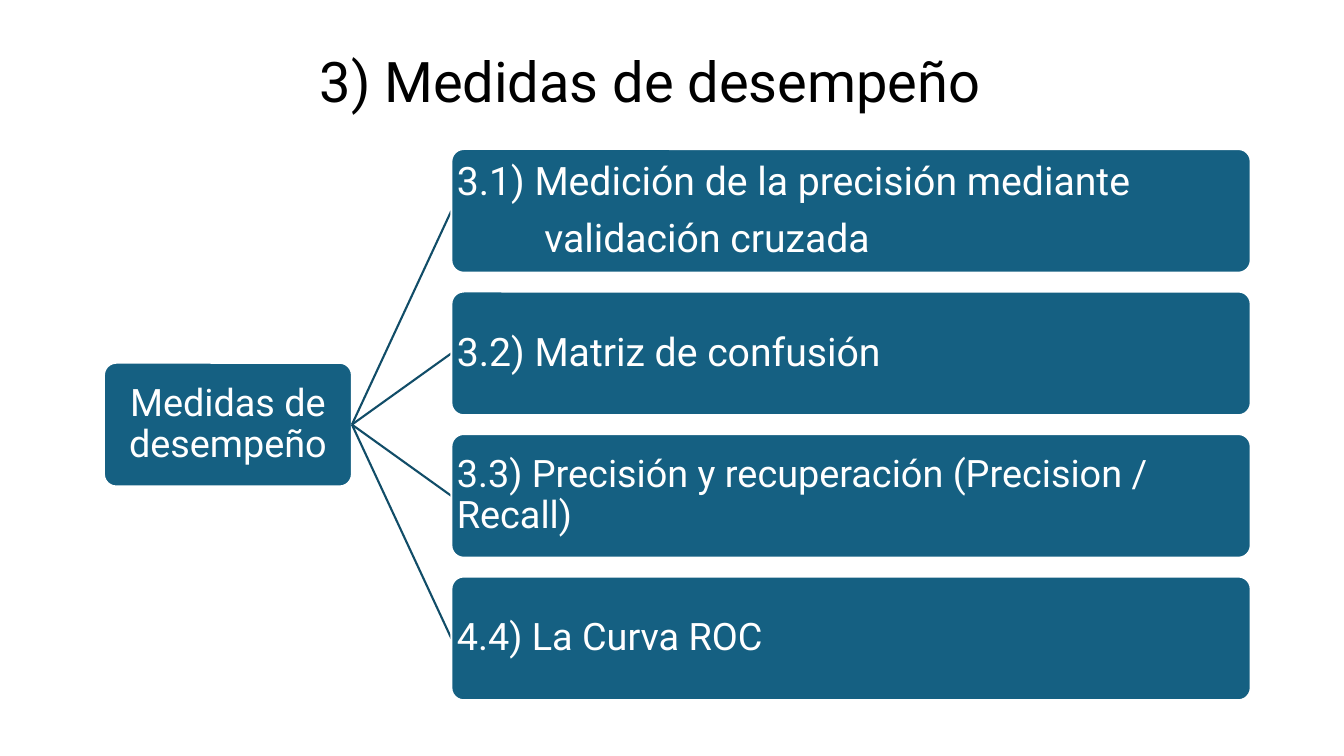
"""Build a slide with a horizontal tree of performance measures."""
from pptx import Presentation
from pptx.dml.color import RGBColor
from pptx.enum.shapes import MSO_CONNECTOR, MSO_SHAPE
from pptx.enum.text import MSO_ANCHOR, PP_ALIGN
from pptx.oxml.ns import qn
from pptx.util import Pt
from lxml.etree import SubElement

TITLE = "3) Medidas de desempeño"
ROOT = ("Medidas de desempeño",)
TOPICS = [
    (("3.1) Medición de la precisión mediante", "validación cruzada"), 28),
    (("3.2) Matriz de confusión",), 28),
    (("3.3) Precisión y recuperación (Precision / Recall)",), 27),
    (("4.4) La Curva ROC",), 27),
]
THEME = {
    "font": "Roboto", "title": 40, "root": 27,
    "ink": RGBColor.from_string("000000"),
    "fill": RGBColor.from_string("156082"),
    "line": RGBColor.from_string("114D68"),
    "white": RGBColor.from_string("FFFFFF"),
}
TOP, STEP, HIGH = 106.4, 101.8, 88.4
ROOT_X, ROOT_W = 74.2, 177.2
TOPIC_X, TOPIC_W = 322.4, 571
INDENT, GAP, INSET = 62.5, 10.5, 1.4


def write(frame, lines, size, color, align):
    """Fill a text frame, indenting the lines after the first."""
    frame.word_wrap = True
    frame.vertical_anchor = MSO_ANCHOR.MIDDLE
    frame.margin_left = frame.margin_right = Pt(INSET)
    frame.margin_top = frame.margin_bottom = Pt(INSET)
    for i, line in enumerate(lines):
        para = frame.add_paragraph() if i else frame.paragraphs[0]
        para.text = line
        para.alignment = align
        para.line_spacing = 0.9
        para.font.name = THEME["font"]
        para.font.size = Pt(size)
        para.font.color.rgb = color
        if i:
            para.space_before = Pt(GAP)
            para._p.get_or_add_pPr().set("marL", str(Pt(INDENT)))


def add_box(slide, x, y, wide, lines, size, align):
    """Add one rounded node with its text."""
    box = slide.shapes.add_shape(
        MSO_SHAPE.ROUNDED_RECTANGLE, Pt(x), Pt(y), Pt(wide), Pt(HIGH))
    box.adjustments[0] = 0.1
    box.shadow.inherit = False
    box.fill.solid()
    box.fill.fore_color.rgb = THEME["fill"]
    box.line.color.rgb = THEME["white"]
    box.line.width = Pt(1.5)
    write(box.text_frame, lines, size, THEME["white"], align)
    return box


def add_link(slide):
    """Add a plain branch line, to be joined to its nodes."""
    link = slide.shapes.add_connector(MSO_CONNECTOR.STRAIGHT, 0, 0, 0, 0)
    link.line.color.rgb = THEME["line"]
    link.line.width = Pt(1.5)
    SubElement(link._element.spPr, qn("a:effectLst"))
    return link


def main():
    """Lay out the title and the tree, then save."""
    deck = Presentation()
    deck.slide_width, deck.slide_height = Pt(960), Pt(540)
    slide = deck.slides.add_slide(deck.slide_layouts[6])
    title = slide.shapes.add_textbox(Pt(11.5), Pt(31), Pt(905.8), Pt(58.3))
    write(title.text_frame, (TITLE,), THEME["title"], THEME["ink"],
          PP_ALIGN.CENTER)
    middle = TOP + STEP * (len(TOPICS) - 1) / 2
    root = add_box(slide, ROOT_X, middle, ROOT_W, ROOT, THEME["root"],
                   PP_ALIGN.CENTER)
    for i, (lines, size) in enumerate(TOPICS):
        link = add_link(slide)
        topic = add_box(slide, TOPIC_X, TOP + i * STEP, TOPIC_W, lines, size,
                        PP_ALIGN.LEFT)
        link.begin_connect(root, 3)
        link.end_connect(topic, 1)
    deck.save("out.pptx")


if __name__ == "__main__":
    main()
